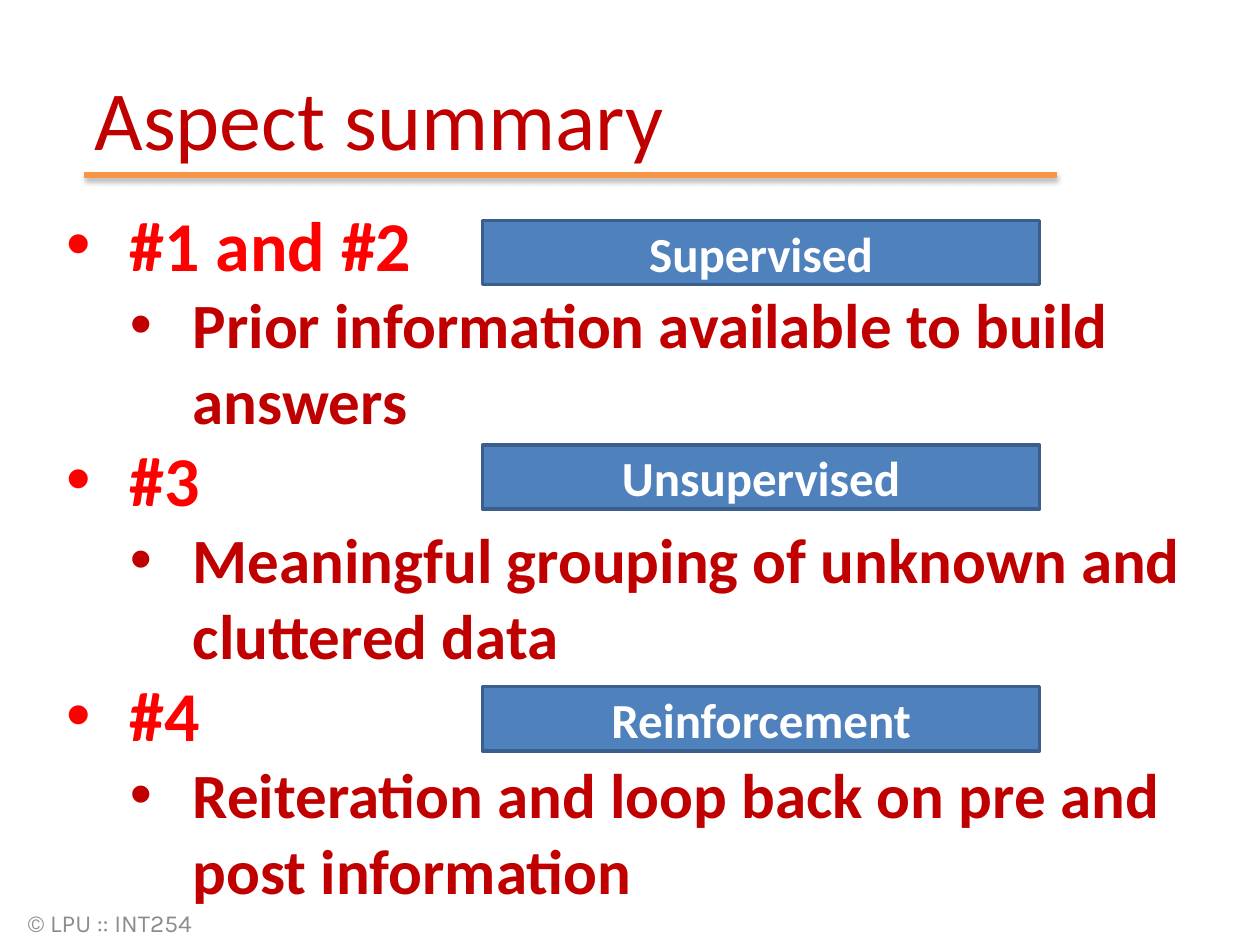
from lxml import etree
from pptx import Presentation
from pptx.dml.color import RGBColor
from pptx.enum.shapes import MSO_CONNECTOR, MSO_SHAPE
from pptx.enum.text import MSO_ANCHOR, MSO_AUTO_SIZE, PP_ALIGN
from pptx.oxml import parse_xml
from pptx.oxml.ns import nsdecls, qn
from pptx.util import Inches, Pt

LEFT, CENTER = PP_ALIGN.LEFT, PP_ALIGN.CENTER
MIDDLE, TOP = MSO_ANCHOR.MIDDLE, MSO_ANCHOR.TOP
NO_FIT = MSO_AUTO_SIZE.NONE
RECT, STRAIGHT = MSO_SHAPE.RECTANGLE, MSO_CONNECTOR.STRAIGHT

# name: font, size, colour, bold
THEME = {
    "title": ("Calibri", 48, "C00000", False),
    "head": ("Calibri", 40, "FF0000", True),
    "point": ("Calibri", 36, "C00000", True),
    "tag": ("Calibri", 28, "FFFFFF", True),
    "foot": ("Karla", 14, "8C8C8C", False),
}
RULE, FILL, EDGE = (RGBColor.from_string(c) for c in ("F79646", "4F81BD", "3A5F8C"))

# heading, point, tag, top of tag
TOPICS = [
    ("#1 and #2", "Prior information available to build answers", "Supervised", 1.75),
    ("#3", "Meaningful grouping of unknown and cluttered data", "Unsupervised", 3.53),
    ("#4", "Reiteration and loop back on pre and post information",
     "Reinforcement", 5.45),
]


def style(para, name, align=LEFT):
    para.alignment = align
    for run in para.runs:
        font = run.font
        font.name, size, color, font.bold = THEME[name]
        font.size = Pt(size)
        font.color.rgb = RGBColor.from_string(color)


def place(shape, left, top, width, height, anchor):
    """Set the box in inches and fix how its text sits."""
    shape.left, shape.top = Inches(left), Inches(top)
    shape.width, shape.height = Inches(width), Inches(height)
    frame = shape.text_frame
    frame.word_wrap = True
    frame.auto_size = NO_FIT
    frame.vertical_anchor = anchor
    return frame


deck = Presentation()
deck.slide_width, deck.slide_height = Inches(10), Inches(7.5)
slide = deck.slides.add_slide(deck.slide_layouts[1])
shapes = slide.shapes

# Title and its rule
title = place(shapes.title, 0.5, 0.3, 9, 1.25, MIDDLE)
title.margin_left = Inches(0.25)
title.text = "Aspect summary"
style(title.paragraphs[0], "title")

rule = shapes.add_connector(STRAIGHT, Inches(0.67), Inches(1.39),
                            Inches(8.39), Inches(1.39))
rule.line.color.rgb = RULE
rule.line.width = Pt(3)
rule._element.spPr.append(parse_xml(
    f'<a:effectLst {nsdecls("a")}>'
    f'<a:outerShdw blurRad="{Pt(3.1)}" dist="{Pt(1.8)}" dir="5400000" rotWithShape="0">'
    '<a:srgbClr val="000000"><a:alpha val="35000"/></a:srgbClr>'
    '</a:outerShdw></a:effectLst>'))

# Two-level list
body = place(slide.placeholders[1], 0.43, 1.55, 9.21, 5.89, TOP)
lines = [text for topic in TOPICS for text in topic[:2]]
body.text = "\n".join(lines)
for num, para in enumerate(body.paragraphs):
    level = num % 2
    para.level = level
    props = para._p.get_or_add_pPr()
    props.set("marL", str(Inches(0.5 * (level + 1))))
    props.set("indent", str(Inches(-0.5)))
    etree.SubElement(props, qn("a:buFont"), typeface="Arial")
    etree.SubElement(props, qn("a:buChar"), char="•")
    para.space_before = Pt(0)
    style(para, ("head", "point")[level])

# Footer
foot = place(shapes.add_textbox(0, 0, 0, 0), 0.12, 7.14, 6.22, 0.36, MIDDLE)
foot.text = "© LPU :: INT254"
style(foot.paragraphs[0], "foot")

# One tag beside each heading
for head, point, label, top in TOPICS:
    tag = shapes.add_shape(RECT, 0, 0, 0, 0)
    tag.shadow.inherit = False
    tag.fill.solid()
    tag.fill.fore_color.rgb = FILL
    tag.line.color.rgb = EDGE
    tag.line.width = Pt(2)
    frame = place(tag, 3.83, top, 4.42, 0.51, MIDDLE)
    frame.text = label
    style(frame.paragraphs[0], "tag", CENTER)

deck.save("out.pptx")
